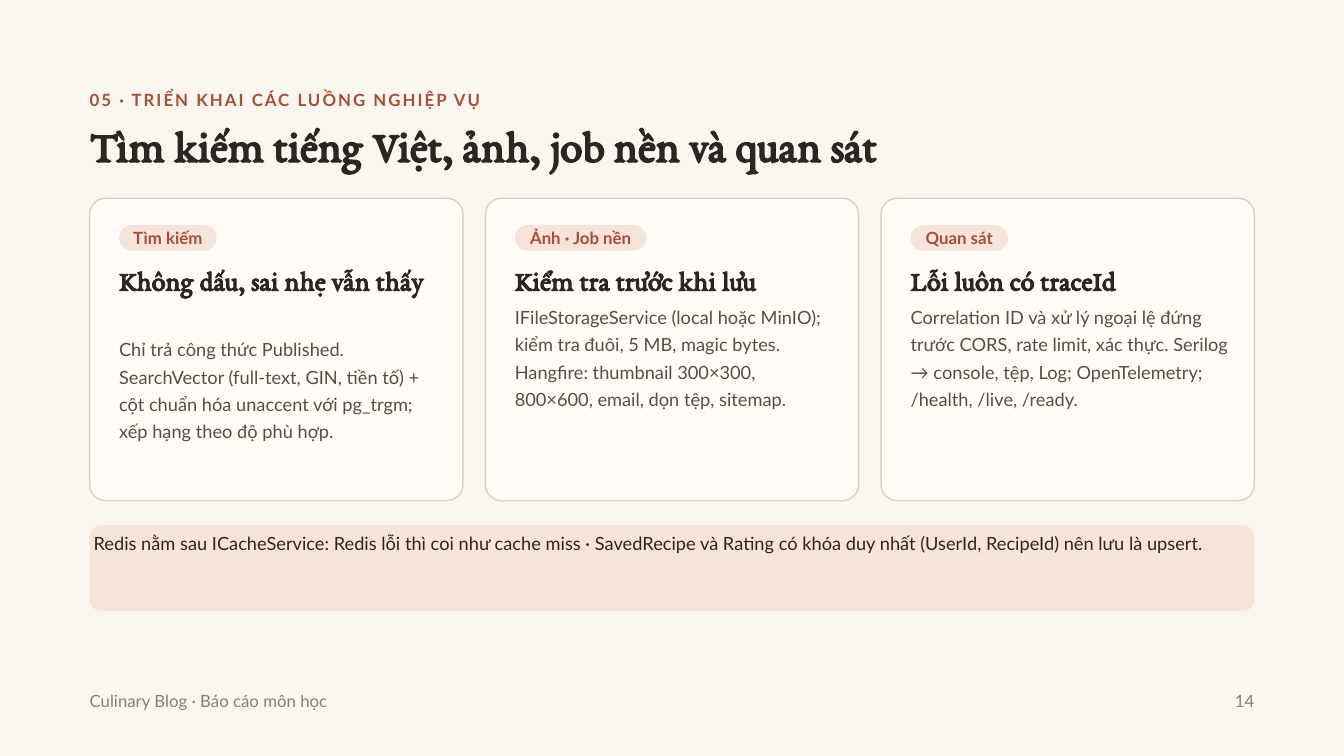
from pptx import Presentation
from pptx.dml.color import RGBColor
from pptx.enum.shapes import MSO_SHAPE as Shape
from pptx.enum.text import MSO_ANCHOR as Anchor, MSO_AUTO_SIZE as AutoSize, PP_ALIGN as Align
from pptx.util import Pt

SERIF, SANS = "EB Garamond", "Lato"
INK, BROWN, MUTED, RUST = "2B2622", "574D45", "8A7E73", "A64E37"
PAPER, CARD, BLUSH, BORDER = "FAF6EF", "FFFCF7", "F6E3D9", "DCCFBF"
MARGIN, CONTENT_WIDTH = 96, 1248
CARD_TOP, CARD_WIDTH, CARD_HEIGHT, CARD_GAP = 212.4, 400, 324, 24
PADDING, INNER_WIDTH = 31.6, 347

CARDS = [
    ("Tìm kiếm", 104.4, "Không dấu, sai nhẹ vẫn thấy", 71.3,
     "Chỉ trả công thức Published. SearchVector (full-text, GIN, tiền tố) + "
     "cột chuẩn hóa unaccent với pg_trgm; xếp hạng theo độ phù hợp."),
    ("Ảnh · Job nền", 141.1, "Kiểm tra trước khi lưu", 36.7,
     "IFileStorageService (local hoặc MinIO); kiểm tra đuôi, 5 MB, magic bytes. "
     "Hangfire: thumbnail 300×300, 800×600, email, dọn tệp, sitemap."),
    ("Quan sát", 104.4, "Lỗi luôn có traceId", 36.7,
     "Correlation ID và xử lý ngoại lệ đứng trước CORS, rate limit, xác thực. "
     "Serilog → console, tệp, Log; OpenTelemetry; /health, /live, /ready."),
]


def color(value):
    return RGBColor.from_string(value)


class SlideBuilder:
    """Hold the style and the current slide, and add each kind of element."""

    def __init__(self, presentation):
        self.slide = presentation.slides.add_slide(presentation.slide_layouts[5])
        fill = self.slide.background.fill
        fill.solid()
        fill.fore_color.rgb = color(PAPER)

    def set_text(self, shape, text, size, ink, leading, font=SANS, bold=False,
                 align=Align.LEFT, anchor=Anchor.TOP, inset=0, spacing=0):
        frame = shape.text_frame
        frame.text = text
        frame.word_wrap = True
        frame.auto_size = AutoSize.NONE
        frame.vertical_anchor = anchor
        frame.margin_left = frame.margin_right = Pt(inset)
        frame.margin_top = frame.margin_bottom = Pt(inset)
        paragraph = frame.paragraphs[0]
        paragraph.alignment = align
        paragraph.line_spacing = Pt(leading)
        paragraph.space_before = Pt(0)
        run = paragraph.runs[0]
        run.font.name, run.font.size, run.font.bold = font, Pt(size), bold
        run.font.color.rgb = color(ink)
        if spacing:
            run.font._element.set("spc", str(int(spacing * 100)))

    def title(self, left, top, width, height, text):
        shape = self.slide.shapes.title
        shape.left, shape.top = Pt(left), Pt(top)
        shape.width, shape.height = Pt(width), Pt(height)
        self.set_text(shape, text, 48, INK, 52.8, SERIF, bold=True)

    def text(self, left, top, width, height, text, size, ink, leading, **style):
        shape = self.slide.shapes.add_textbox(Pt(left), Pt(top), Pt(width), Pt(height))
        self.set_text(shape, text, size, ink, leading, **style)

    def panel(self, left, top, width, height, radius, fill, line=None):
        shape = self.slide.shapes.add_shape(
            Shape.ROUNDED_RECTANGLE, Pt(left), Pt(top), Pt(width), Pt(height))
        shape.adjustments[0] = radius / min(width, height)
        shape.shadow.inherit = False
        shape.fill.solid()
        shape.fill.fore_color.rgb = color(fill)
        if line:
            shape.line.color.rgb = color(line)
            shape.line.width = Pt(1.5)
        else:
            shape.line.fill.background()
        return shape

    def pill(self, left, top, width, height, text):
        shape = self.panel(left, top, width, height, height / 2, BLUSH)
        self.set_text(shape, text, 18, RUST, 21.6, bold=True,
                      align=Align.CENTER, anchor=Anchor.MIDDLE)

    def card(self, left, label, label_width, heading, heading_height, body):
        inner = left + PADDING
        heading_top = CARD_TOP + 70.6
        self.panel(left, CARD_TOP, CARD_WIDTH, CARD_HEIGHT, 17.3, CARD, BORDER)
        self.pill(inner, CARD_TOP + 28.8, label_width, 27.4, label)
        self.text(inner, heading_top, INNER_WIDTH, heading_height, heading,
                  30, INK, 34.5, font=SERIF, bold=True)
        self.text(inner, heading_top + heading_height + 2.9, INNER_WIDTH, 154, body,
                  19.5, BROWN, 29.2)


def main():
    presentation = Presentation()
    presentation.slide_width, presentation.slide_height = Pt(1440), Pt(810)
    builder = SlideBuilder(presentation)
    builder.text(MARGIN, 96, 1285, 24.5, "05 · TRIỂN KHAI CÁC LUỒNG NGHIỆP VỤ",
                 18, RUST, 21.6, bold=True, spacing=2.2)
    builder.title(MARGIN, 130.3, 1285, 52, "Tìm kiếm tiếng Việt, ảnh, job nền và quan sát")
    for index, card in enumerate(CARDS):
        builder.card(MARGIN + index * (CARD_WIDTH + CARD_GAP), *card)
    builder.panel(MARGIN, 563, CONTENT_WIDTH, 91.5, 12.2, BLUSH)
    builder.text(MARGIN, 560.2, CONTENT_WIDTH, 95,
                 "Redis nằm sau ICacheService: Redis lỗi thì coi như cache miss · SavedRecipe "
                 "và Rating có khóa duy nhất (UserId, RecipeId) nên lưu là upsert.",
                 19.5, INK, 29.2, inset=4.3)
    builder.text(MARGIN, 740.2, 340, 24.5, "Culinary Blog · Báo cáo môn học", 18, MUTED, 21.6)
    builder.text(1318, 740.2, 26, 24.5, "14", 18, MUTED, 21.6, align=Align.RIGHT)
    presentation.save("out.pptx")


if __name__ == "__main__":
    main()
